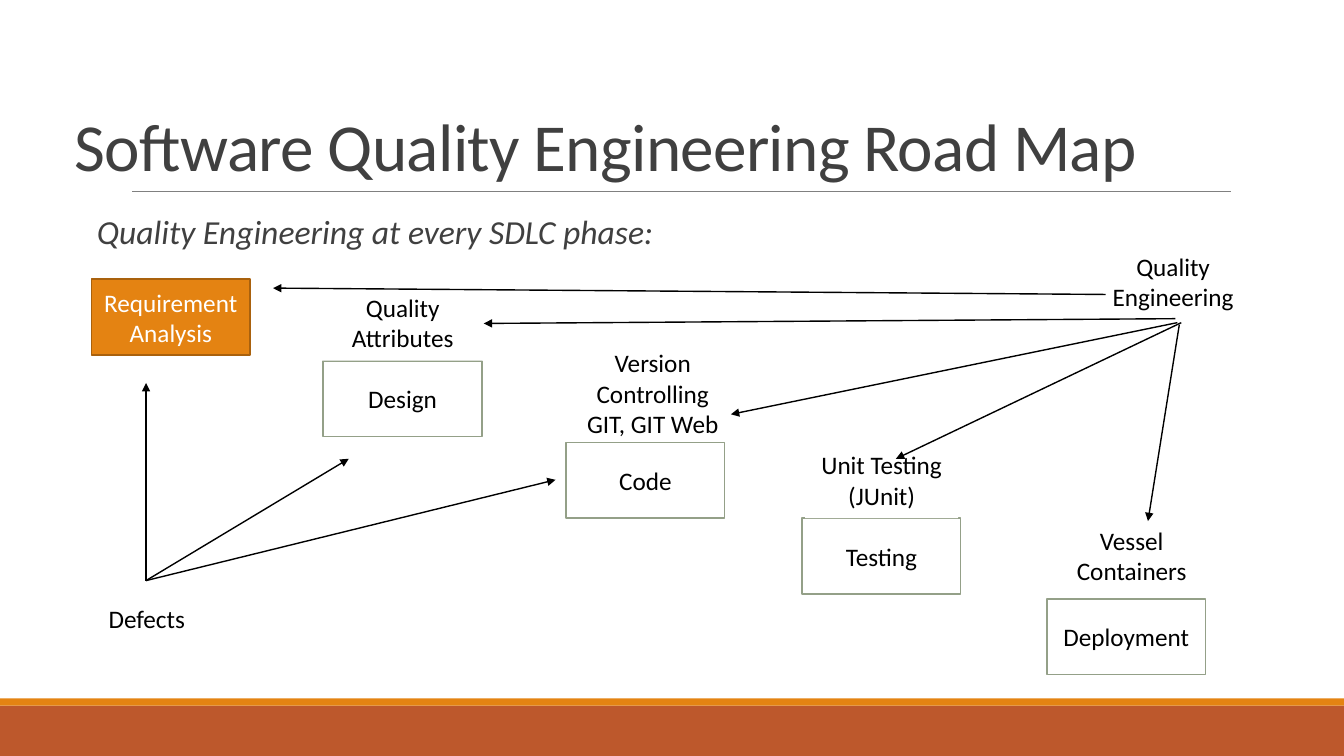
from lxml.etree import SubElement
from pptx import Presentation
from pptx.dml.color import RGBColor
from pptx.enum.shapes import MSO_CONNECTOR, MSO_SHAPE
from pptx.enum.text import MSO_ANCHOR, PP_ALIGN
from pptx.oxml.ns import qn
from pptx.util import Cm, Pt

TITLE = "Software Quality Engineering Road Map"
SUBTITLE = "Quality Engineering at every SDLC phase:"
COLORS = {"orange": "E48312", "rust": "BD582C", "brown": "A9610D", "sage": "94A088",
          "gray": "808080", "heading": "404040", "black": "000000", "white": "FFFFFF"}
FONT = "Calibri"
SLIDE_W, SLIDE_H = 33.87, 19.05
PHASE_W, PHASE_H, NOTE_H = 3.99, 1.91, 1.93

# text, left, top, fill, line, text colour
PHASES = [
    ("Requirement Analysis", 2.31, 7.04, "orange", "brown", "white"),
    ("Design", 8.15, 9.09, "white", "sage", "black"),
    ("Code", 14.27, 11.15, "white", "sage", "black"),
    ("Testing", 20.22, 13.06, "white", "sage", "black"),
    ("Deployment", 26.39, 15.09, "white", "sage", "black"),
]
# text, left, top, width
NOTES = [
    ("Vessel Containers", 26.82, 13.03, 3.4),
    ("Unit Testing\n(JUnit)", 20.29, 11.13, 3.86),
    ("Version Controlling\nGIT, GIT Web", 14.38, 8.94, 4.14),
    ("Quality Attributes", 8.08, 7.16, 4.14),
    ("Defects", 1.63, 14.63, 4.14),
    ("Quality Engineering", 27.23, 6.12, 4.67),
]
DEFECTS = (3.68, 14.63)
ARROWS = [
    (DEFECTS, (8.79, 11.56)),
    (DEFECTS, (3.68, 9.65)),
    (DEFECTS, (14, 12.09)),
    ((29.72, 8.18), (28.93, 13.13)),
    ((29.77, 8.13), (22.58, 11.56)),
    ((29.67, 8.13), (18.42, 10.44)),
    ((29.62, 8.03), (12.19, 8.15)),
    ((27.86, 7.42), (6.88, 7.26)),
]


def rgb(name):
    return RGBColor.from_string(COLORS[name])


def write(tf, text, color, size=18, align=PP_ALIGN.CENTER, spacing=None, **font):
    """Fill a text frame, one paragraph per line of text."""
    tf.word_wrap = True
    for i, line in enumerate(text.split("\n")):
        p = tf.paragraphs[0] if i == 0 else tf.add_paragraph()
        p.alignment = align
        p.line_spacing = spacing
        r = p.add_run()
        r.text = line
        for key, value in {"name": FONT, "size": Pt(size), **font}.items():
            setattr(r.font, key, value)
        r.font.color.rgb = rgb(color)


def add_box(slide, left, top, width, height, fill, line=None, text="", color="black"):
    sp = slide.shapes.add_shape(MSO_SHAPE.RECTANGLE, Cm(left), Cm(top), Cm(width), Cm(height))
    sp.shadow.inherit = False
    sp.fill.solid()
    sp.fill.fore_color.rgb = rgb(fill)
    if line:
        sp.line.color.rgb = rgb(line)
        sp.line.width = Pt(1.25)
    else:
        sp.line.fill.background()
    if text:
        sp.text_frame.vertical_anchor = MSO_ANCHOR.MIDDLE
        write(sp.text_frame, text, color)


def add_line(slide, start, end, color, width, arrow=False):
    cx = slide.shapes.add_connector(MSO_CONNECTOR.STRAIGHT, *map(Cm, start + end))
    cx.line.color.rgb = rgb(color)
    cx.line.width = Pt(width)
    if arrow:
        SubElement(cx.line._get_or_add_ln(), qn("a:tailEnd"), type="triangle")
    SubElement(cx._element.spPr, qn("a:effectLst"))


def add_text(slide, left, top, width, height, **frame):
    tf = slide.shapes.add_textbox(Cm(left), Cm(top), Cm(width), Cm(height)).text_frame
    for key, value in frame.items():
        setattr(tf, key, value)
    return tf


def main():
    prs = Presentation()
    prs.slide_width, prs.slide_height = Cm(SLIDE_W), Cm(SLIDE_H)
    slide = prs.slides.add_slide(prs.slide_layouts[6])

    add_box(slide, 0, 17.78, SLIDE_W, 1.27, "rust")
    add_box(slide, 0, 17.6, SLIDE_W, 0.18, "orange")
    add_line(slide, (3.33, 4.83), (31.01, 4.83), "gray", 0.5)

    tf = add_text(slide, 2.44, 5.31, 30.35, 12.04, margin_left=0, margin_right=0)
    write(tf, SUBTITLE, "heading", 24, PP_ALIGN.LEFT, 0.9, italic=True)
    tf = add_text(slide, 1.63, 1.96, 30.63, 2.82, vertical_anchor=MSO_ANCHOR.BOTTOM)
    write(tf, TITLE, "heading", 48, PP_ALIGN.LEFT, 0.85)
    tf.paragraphs[0].runs[0].font._element.set("spc", "-50")

    for text, left, top, fill, line, color in PHASES:
        add_box(slide, left, top, PHASE_W, PHASE_H, fill, line, text, color)
    for text, left, top, width in NOTES:
        add_box(slide, left, top, width, NOTE_H, "white", text=text)
    for start, end in ARROWS:
        add_line(slide, start, end, "black", 1, arrow=True)

    prs.save("out.pptx")


if __name__ == "__main__":
    main()
